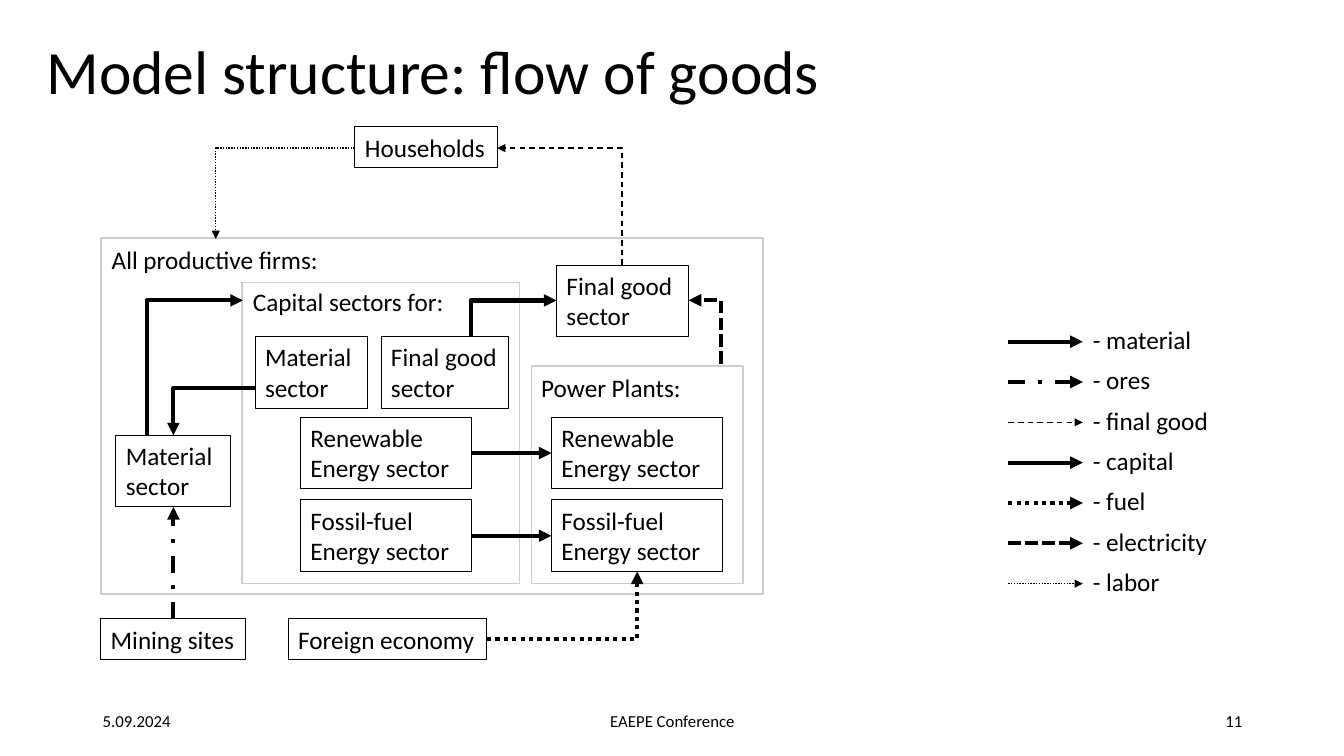
import pptx
import pptx.util
import pptx.dml.color
import pptx.enum.dml
import pptx.enum.shapes
import pptx.enum.text
import pptx.oxml
import pptx.oxml.ns

PX = 9144  # 100 px to the inch
BLACK = pptx.dml.color.RGBColor(0x00, 0x00, 0x00)
GREY = pptx.dml.color.RGBColor(0xCD, 0xCD, 0xCD)
WHITE = pptx.dml.color.RGBColor(0xFF, 0xFF, 0xFF)
DASH = pptx.enum.dml.MSO_LINE
KIND = pptx.enum.shapes.MSO_CONNECTOR
RECT = pptx.enum.shapes.MSO_SHAPE.RECTANGLE
ALIGN = pptx.enum.text.PP_ALIGN
ANCHOR = pptx.enum.text.MSO_ANCHOR
FIT = pptx.enum.text.MSO_AUTO_SIZE
TOP, LEFT, BOTTOM, RIGHT = range(4)

TITLE = "Model structure: flow of goods"
FOOT = [
    ("5.09.2024", (92, 695, 300, 40), ALIGN.LEFT),
    ("EAEPE Conference", (442, 695, 450, 40), ALIGN.CENTER),
    ("11", (942, 695, 300, 40), ALIGN.RIGHT),
]
# place, line width, heading, heading place
FRAMES = [
    ((100, 236, 657, 353), 1.5, "All productive firms:", (101, 237, 226, 40)),
    ((527, 363, 210, 216), 1, "Power Plants:", (527, 364, 170, 40)),
    ((240, 280, 275, 299), 1, "Capital sectors for:", (241, 279, 211, 40)),
]
BOXES = {
    "home": ("Households", (352, 126, 141, 40)),
    "final": ("Final good sector", (552, 263, 131, 71)),
    "cap mat": ("Material sector", (253, 334, 112, 71)),
    "cap final": ("Final good sector", (378, 334, 126, 71)),
    "cap green": ("Renewable Energy sector", (298, 414, 170, 71)),
    "cap fossil": ("Fossil-fuel Energy sector", (298, 496, 170, 71)),
    "green": ("Renewable Energy sector", (547, 414, 170, 71)),
    "fossil": ("Fossil-fuel Energy sector", (547, 496, 170, 71)),
    "mat": ("Material sector", (115, 432, 114, 71)),
    "mine": ("Mining sites", (100, 614, 144, 40)),
    "abroad": ("Foreign economy", (286, 614, 197, 40)),
}
# good: line width, dash, width of its label in the legend
GOODS = {
    "material": (3, None, 119),
    "ores": (3, DASH.DASH_DOT, 78),
    "final good": (1, DASH.DASH, 136),
    "capital": (3, None, 101),
    "fuel": (3, DASH.ROUND_DOT, 73),
    "electricity": (3, DASH.SQUARE_DOT, 135),
    "labor": (1, DASH.ROUND_DOT, 87),
}
STRAIGHT = [
    ("capital", "cap green", RIGHT, "green", LEFT),
    ("capital", "cap fossil", RIGHT, "fossil", LEFT),
    ("ores", "mine", TOP, "mat", BOTTOM),
]
ACROSS = [  # sideways first, then up or down
    ("capital", (253, 385), (172, 432)),
    ("fuel", (483, 634), (632, 567)),
    ("labor", (352, 147), (214, 237)),
]
UPWARD = [  # up first, then sideways
    ("material", (146, 432), (241, 298)),
    ("electricity", (715, 361), (683, 298)),
    ("capital", (467, 334), (552, 298)),
    ("final good", (617, 263), (493, 147)),
]
KEY_X, KEY_Y, KEY_LONG, KEY_STEP = 1000, 339, 74, 40


def emu(*nums):
    return [pptx.util.Emu(round(num * PX)) for num in nums]


def fill_text(shape, text, size=18, font={}, para={}, **frame):
    """Write one paragraph, with format values for frame and paragraph."""
    body = shape.text_frame
    body.text = text
    line = body.paragraphs[0]
    look = {"name": "Calibri", "size": pptx.util.Pt(size)}
    for part, vals in ((body, frame), (line, para), (line.font, look)):
        for name, val in vals.items():
            setattr(part, name, val)
    line.font.color.rgb = BLACK


def add_label(slide, text, place, **form):
    fill_text(slide.shapes.add_textbox(*emu(*place)), text, **form)


def add_box(slide, place, color, width, fill=None):
    box = slide.shapes.add_shape(RECT, *emu(*place))
    box.shadow.inherit = False
    box.line.color.rgb = color
    box.line.width = pptx.util.Pt(width)
    if fill is None:
        box.fill.background()
    else:
        box.fill.solid()
        box.fill.fore_color.rgb = fill
    return box


def add_flow(slide, good, start, end, kind=KIND.STRAIGHT):
    width, dash, _ = GOODS[good]
    flow = slide.shapes.add_connector(kind, *emu(*start, *end))
    flow.line.color.rgb = BLACK
    flow.line.width = pptx.util.Pt(width)
    if dash is not None:
        flow.line.dash_style = dash
    props = flow._element.spPr
    tail = pptx.oxml.parse_xml(
        f'<a:tailEnd {pptx.oxml.ns.nsdecls("a")} type="triangle"/>')
    props.find(pptx.oxml.ns.qn("a:ln")).append(tail)
    props.append(pptx.oxml.parse_xml(
        f'<a:effectLst {pptx.oxml.ns.nsdecls("a")}/>'))
    if kind == KIND.ELBOW:
        props.find(pptx.oxml.ns.qn("a:prstGeom")).set("prst", "bentConnector2")
    return flow


def add_upward(slide, good, start, end):
    """Draw the bend lying on its side, then turn it to go up first."""
    (x1, y1), (x2, y2) = start, end
    mid_x, mid_y = (x1 + x2) / 2, (y1 + y2) / 2
    run, rise = (y1 - y2) / 2, (x2 - x1) / 2
    flow = add_flow(slide, good, (mid_x - run, mid_y - rise),
                    (mid_x + run, mid_y + rise), KIND.ELBOW)
    flow.rotation = 270


def main():
    deck = pptx.Presentation()
    deck.slide_width, deck.slide_height = emu(1333, 750)
    slide = deck.slides.add_slide(deck.slide_layouts[5])

    title = slide.shapes.title
    title.left, title.top, title.width, title.height = emu(36, 1, 804, 145)
    fill_text(title, TITLE, 44, vertical_anchor=ANCHOR.MIDDLE,
              auto_size=FIT.NONE, word_wrap=True,
              para={"alignment": ALIGN.LEFT, "line_spacing": 0.9})
    for text, place, align in FOOT:
        add_label(slide, text, place, size=12, word_wrap=True,
                  vertical_anchor=ANCHOR.MIDDLE, para={"alignment": align})

    for place, width, _, _ in FRAMES:
        add_box(slide, place, GREY, width)
    for _, _, text, place in FRAMES:
        add_label(slide, text, place, word_wrap=True,
                  auto_size=FIT.SHAPE_TO_FIT_TEXT)

    boxes = {}
    for name, (text, place) in BOXES.items():
        fill = WHITE if name in ("cap green", "cap fossil") else None
        boxes[name] = add_box(slide, place, BLACK, 0.75, fill)
        fill_text(boxes[name], text, word_wrap=place[3] > 40,
                  auto_size=FIT.SHAPE_TO_FIT_TEXT, vertical_anchor=ANCHOR.TOP,
                  para={"alignment": ALIGN.LEFT})

    for good, source, out, target, into in STRAIGHT:
        flow = add_flow(slide, good, (0, 0), (0, 0))
        flow.begin_connect(boxes[source], out)
        flow.end_connect(boxes[target], into)
    for good, start, end in ACROSS:
        add_flow(slide, good, start, end, KIND.ELBOW)
    for good, start, end in UPWARD:
        add_upward(slide, good, start, end)

    for row, (good, (_, _, width)) in enumerate(GOODS.items()):
        y = KEY_Y + row * KEY_STEP
        add_flow(slide, good, (KEY_X, y), (KEY_X + KEY_LONG, y))
        add_label(slide, f"- {good}", (KEY_X + KEY_LONG, y - 22, width, 40),
                  word_wrap=False, auto_size=FIT.SHAPE_TO_FIT_TEXT)

    deck.save("out.pptx")


if __name__ == "__main__":
    main()
